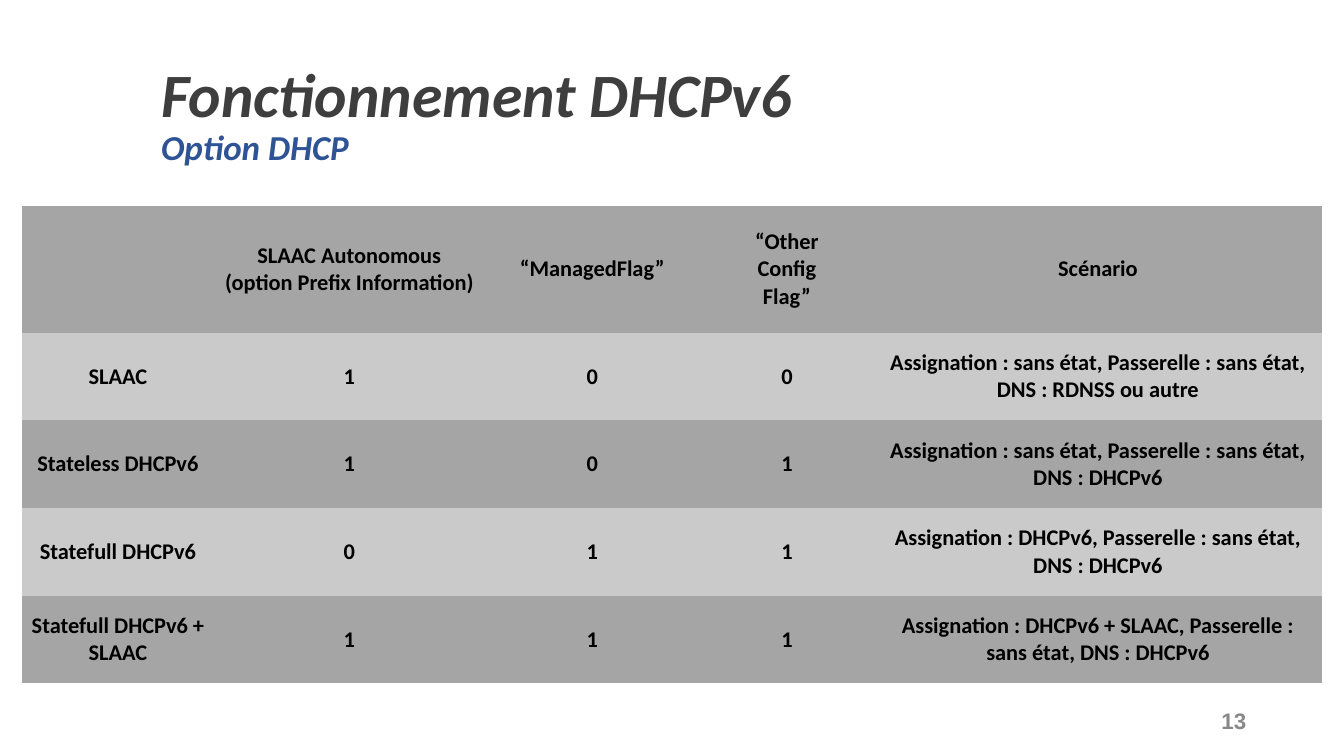
"""Build the DHCPv6 options slide with its title, comparison table and page number."""
from dataclasses import dataclass

from pptx import Presentation
from pptx.dml.color import RGBColor
from pptx.enum.text import MSO_ANCHOR, MSO_AUTO_SIZE, PP_ALIGN
from pptx.oxml.ns import qn
from pptx.util import Pt

EMU_PER_PX = 9144
TITLE_ONLY = 5
LEFT, CENTER, RIGHT = PP_ALIGN.LEFT, PP_ALIGN.CENTER, PP_ALIGN.RIGHT
TOP, MIDDLE = MSO_ANCHOR.TOP, MSO_ANCHOR.MIDDLE
FIXED_SIZE = MSO_AUTO_SIZE.NONE
PLAIN_TABLE_STYLE = "{2D5ABB26-0587-4C30-8999-92F81FD0307C}"


@dataclass(frozen=True)
class TextStyle:
    size: int
    color: str
    font: str = "Calibri"
    italic: bool = False
    align: PP_ALIGN = LEFT
    anchor: MSO_ANCHOR = TOP
    margins: tuple[int, int] = (10, 5)
    line_spacing: float = 1.0


@dataclass(frozen=True)
class Theme:
    title: TextStyle = TextStyle(44, "3E3E3E", italic=True, line_spacing=0.9)
    subtitle: TextStyle = TextStyle(25, "2F5496", italic=True)
    cell: TextStyle = TextStyle(16, "000000", align=CENTER, anchor=MIDDLE, margins=(8, 4))
    page_number: TextStyle = TextStyle(
        16, "888888", font="Arial", align=RIGHT, anchor=MIDDLE, margins=(5, 5)
    )
    row_fills: tuple[str, str] = ("A5A5A5", "CACACA")


@dataclass(frozen=True)
class Box:
    left: int
    top: int
    width: int
    height: int

    def emu(self) -> tuple[int, ...]:
        return tuple(px(side) for side in (self.left, self.top, self.width, self.height))


@dataclass(frozen=True)
class Mode:
    name: str
    autonomous: str
    managed: str
    other: str
    scenario: str

    def texts(self) -> tuple[str, ...]:
        return self.name, self.autonomous, self.managed, self.other, self.scenario


THEME = Theme()
TITLE_BOX = Box(150, 59, 1150, 145)
SUBTITLE_BOX = Box(150, 120, 667, 52)
PAGE_NUMBER_BOX = Box(1203, 683, 38, 64)
COLUMN_WIDTHS = (190, 269, 213, 173, 444)
HEADER_HEIGHT, MODE_HEIGHT = 126, 87
ROWS = (
    Mode("", "SLAAC Autonomous (option Prefix Information)", "“ManagedFlag”",
         "“Other\nConfig\nFlag”", "Scénario"),
    Mode("SLAAC", "1", "0", "0",
         "Assignation : sans état, Passerelle : sans état, DNS : RDNSS ou autre"),
    Mode("Stateless DHCPv6", "1", "0", "1",
         "Assignation : sans état, Passerelle : sans état, DNS : DHCPv6"),
    Mode("Statefull DHCPv6", "0", "1", "1",
         "Assignation : DHCPv6, Passerelle : sans état, DNS : DHCPv6"),
    Mode("Statefull DHCPv6 + SLAAC", "1", "1", "1",
         "Assignation : DHCPv6 + SLAAC, Passerelle : sans état, DNS : DHCPv6"),
)
ROW_HEIGHTS = (HEADER_HEIGHT,) + (MODE_HEIGHT,) * (len(ROWS) - 1)
TABLE_BOX = Box(22, 204, sum(COLUMN_WIDTHS), sum(ROW_HEIGHTS))


def px(length: int) -> int:
    return length * EMU_PER_PX


def write(holder, text: str, style: TextStyle) -> None:
    holder.text_frame.text = text
    for para in holder.text_frame.paragraphs:
        para.alignment = style.align
        para.line_spacing = style.line_spacing
        para.font.size = Pt(style.size)
        for span in para.runs:
            span.font.name = style.font
            span.font.size = Pt(style.size)
            span.font.bold = True
            span.font.italic = style.italic
            span.font.color.rgb = RGBColor.from_string(style.color)


def set_margins(target, style: TextStyle) -> None:
    side, edge = style.margins
    target.margin_left = target.margin_right = px(side)
    target.margin_top = target.margin_bottom = px(edge)
    target.vertical_anchor = style.anchor


def fill_text_shape(shape, box: Box, text: str, style: TextStyle) -> None:
    shape.left, shape.top, shape.width, shape.height = box.emu()
    write(shape, text, style)
    shape.text_frame.word_wrap = True
    shape.text_frame.auto_size = FIXED_SIZE
    set_margins(shape.text_frame, style)


def add_text(page, box: Box, text: str, style: TextStyle) -> None:
    fill_text_shape(page.shapes.add_textbox(*box.emu()), box, text, style)


def add_mode_table(page) -> None:
    table = page.shapes.add_table(len(ROWS), len(COLUMN_WIDTHS), *TABLE_BOX.emu()).table
    table.first_row = table.horz_banding = False
    table._tbl.tblPr.find(qn("a:tableStyleId")).text = PLAIN_TABLE_STYLE
    for column, width in zip(table.columns, COLUMN_WIDTHS):
        column.width = px(width)
    for index, (row, height, mode) in enumerate(zip(table.rows, ROW_HEIGHTS, ROWS)):
        row.height = px(height)
        fill = RGBColor.from_string(THEME.row_fills[index % 2])
        for cell, text in zip(row.cells, mode.texts()):
            cell.fill.solid()
            cell.fill.fore_color.rgb = fill
            set_margins(cell, THEME.cell)
            write(cell, text, THEME.cell)


def main() -> None:
    deck = Presentation()
    deck.slide_width, deck.slide_height = px(1333), px(750)
    page = deck.slides.add_slide(deck.slide_layouts[TITLE_ONLY])
    fill_text_shape(page.shapes.title, TITLE_BOX, "Fonctionnement DHCPv6", THEME.title)
    add_text(page, SUBTITLE_BOX, "Option DHCP", THEME.subtitle)
    add_mode_table(page)
    add_text(page, PAGE_NUMBER_BOX, "13", THEME.page_number)
    deck.save("out.pptx")


if __name__ == "__main__":
    main()
